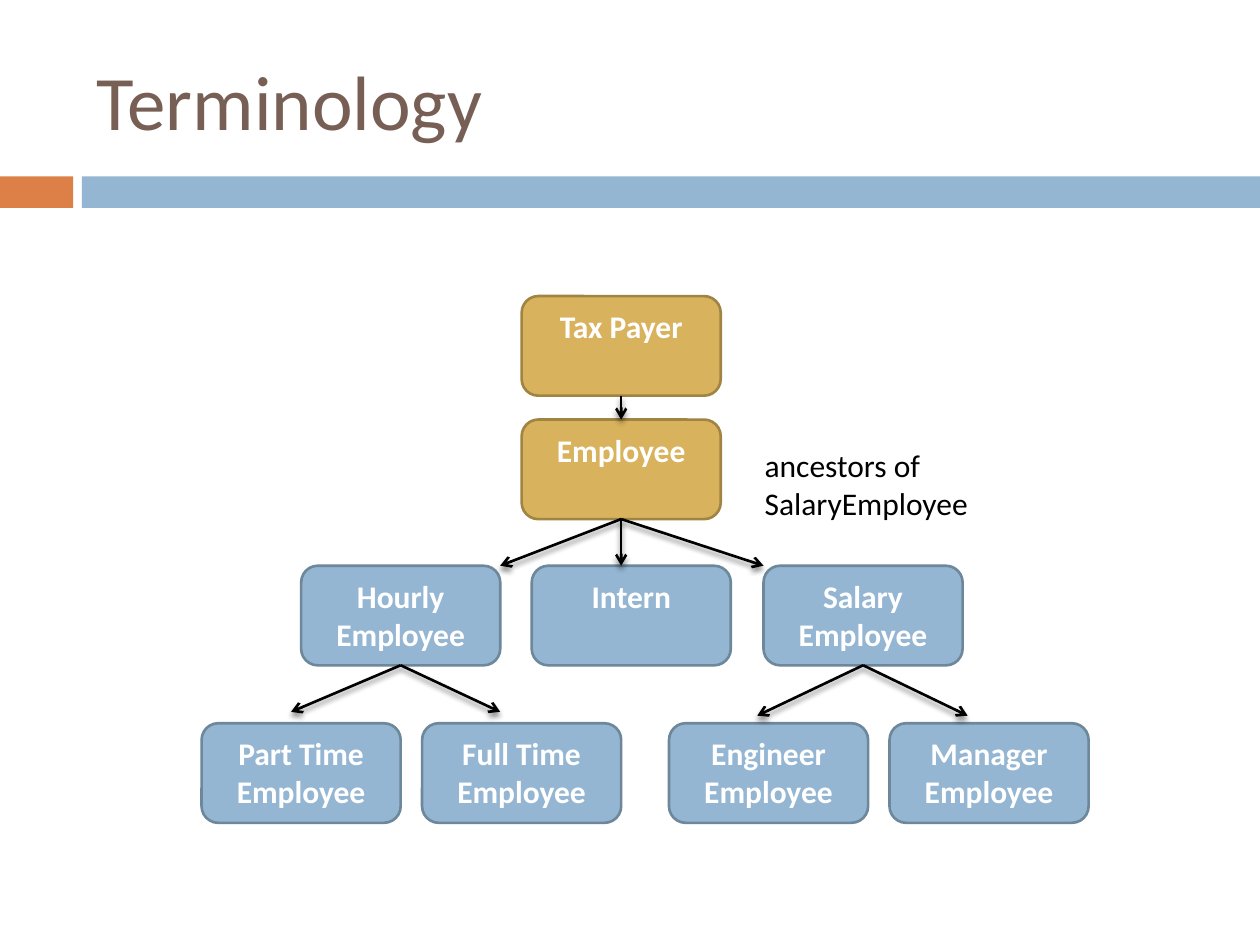
from dataclasses import dataclass

from lxml import etree
from pptx import Presentation
from pptx.dml.color import RGBColor as Rgb
from pptx.enum.shapes import MSO_CONNECTOR as Link, MSO_SHAPE as Shape
from pptx.enum.text import MSO_ANCHOR as Anchor, PP_ALIGN as Align
from pptx.oxml import parse_xml
from pptx.oxml.ns import nsdecls, qn
from pptx.util import Inches, Pt


@dataclass(frozen=True)
class Theme:
    font: str = "Calibri"
    head: int = 44
    body: int = 18
    line: float = 1.5
    brown: str = "775F55"
    orange: str = "DD8047"
    blue: str = "94B6D2"
    navy: str = "6D879B"
    gold: str = "D8B25C"
    bronze: str = "A08444"
    black: str = "000000"
    white: str = "FFFFFF"


THEME = Theme()
WIDE, HIGH = 1.58, 0.79
SHADE = (
    f'<a:effectLst {nsdecls("a")}>'
    '<a:outerShdw blurRad="38100" dist="30480" dir="5400000" rotWithShape="0">'
    f'<a:srgbClr val="{THEME.black}"><a:alpha val="45000"/></a:srgbClr>'
    "</a:outerShdw></a:effectLst>"
)

ROWS = [
    (2.35, [("Tax Payer", 4.14)]),
    (3.33, [("Employee", 4.14)]),
    (4.49, [("Hourly Employee", 2.39), ("Intern", 4.22), ("Salary Employee", 6.06)]),
    (5.74, [
        ("Part Time Employee", 1.6),
        ("Full Time Employee", 3.35),
        ("Engineer Employee", 5.31),
        ("Manager Employee", 7.06),
    ]),
]
ELDERS = ("Tax Payer", "Employee")
ARROWS = [
    ("Employee", 3.97, 4.49),
    ("Employee", 4.93, 4.49),
    ("Employee", 6.06, 4.49),
    ("Hourly Employee", 2.31, 5.65),
    ("Hourly Employee", 3.97, 5.65),
    ("Salary Employee", 6.01, 5.68),
    ("Salary Employee", 7.68, 5.68),
]


def set_font(para, size, color, bold=False):
    font = para.font
    font.name, font.size, font.bold = THEME.font, Pt(size), bold
    font.color.rgb = Rgb.from_string(color)


def add_form(slide, kind, area, fill):
    form = slide.shapes.add_shape(kind, *map(Inches, area))
    form.shadow.inherit = False
    form.fill.solid()
    form.fill.fore_color.rgb = Rgb.from_string(fill)
    return form


def add_bar(slide, left, width, fill):
    bar = add_form(slide, Shape.RECTANGLE, (left, 1.4, width, 0.25), fill)
    bar.line.fill.background()


def add_text(slide, area, lines, size, color, wrap, anchor):
    frame = slide.shapes.add_textbox(*map(Inches, area)).text_frame
    frame.word_wrap = wrap
    frame.vertical_anchor = anchor
    frame.text = "\n".join(lines)
    for para in frame.paragraphs:
        set_font(para, size, color)


def add_node(slide, name, left, top):
    elder = name in ELDERS
    fill = THEME.gold if elder else THEME.blue
    edge = THEME.bronze if elder else THEME.navy
    node = add_form(slide, Shape.ROUNDED_RECTANGLE, (left, top, WIDE, HIGH), fill)
    node.line.color.rgb = Rgb.from_string(edge)
    node.line.width = Pt(THEME.line)
    frame = node.text_frame
    frame.word_wrap = True
    frame.vertical_anchor = Anchor.TOP
    frame.text = name
    para = frame.paragraphs[0]
    para.alignment = Align.CENTER
    set_font(para, THEME.body, THEME.white, True)
    return node


def add_arrow(slide, start, right=0, down=0):
    arrow = slide.shapes.add_connector(Link.STRAIGHT, 0, 0, Inches(right), Inches(down))
    arrow.begin_connect(start, 2)
    arrow.line.color.rgb = Rgb.from_string(THEME.black)
    arrow.line.width = Pt(THEME.line)
    tip = etree.SubElement(arrow.line._get_or_add_ln(), qn("a:tailEnd"))
    tip.set("type", "arrow")
    arrow._element.spPr.append(parse_xml(SHADE))
    return arrow


def main():
    deck = Presentation()
    deck.slide_width, deck.slide_height = Inches(10), Inches(7.5)
    slide = deck.slides.add_slide(deck.slide_layouts[6])

    add_bar(slide, 0, 0.58, THEME.orange)
    add_bar(slide, 0.65, 9.35, THEME.blue)
    add_text(slide, (0.67, 0.25, 8.92, 1.08), ["Terminology"],
             THEME.head, THEME.brown, True, Anchor.MIDDLE)

    nodes = {
        name: add_node(slide, name, left, top)
        for top, row in ROWS
        for name, left in row
    }
    add_arrow(slide, nodes["Tax Payer"]).end_connect(nodes["Employee"], 0)
    for name, right, down in ARROWS:
        add_arrow(slide, nodes[name], right, down)

    add_text(slide, (5.97, 3.49, 1.91, 0.71), ["ancestors of", "SalaryEmployee"],
             THEME.body, THEME.black, False, Anchor.TOP)
    deck.save("out.pptx")


if __name__ == "__main__":
    main()
